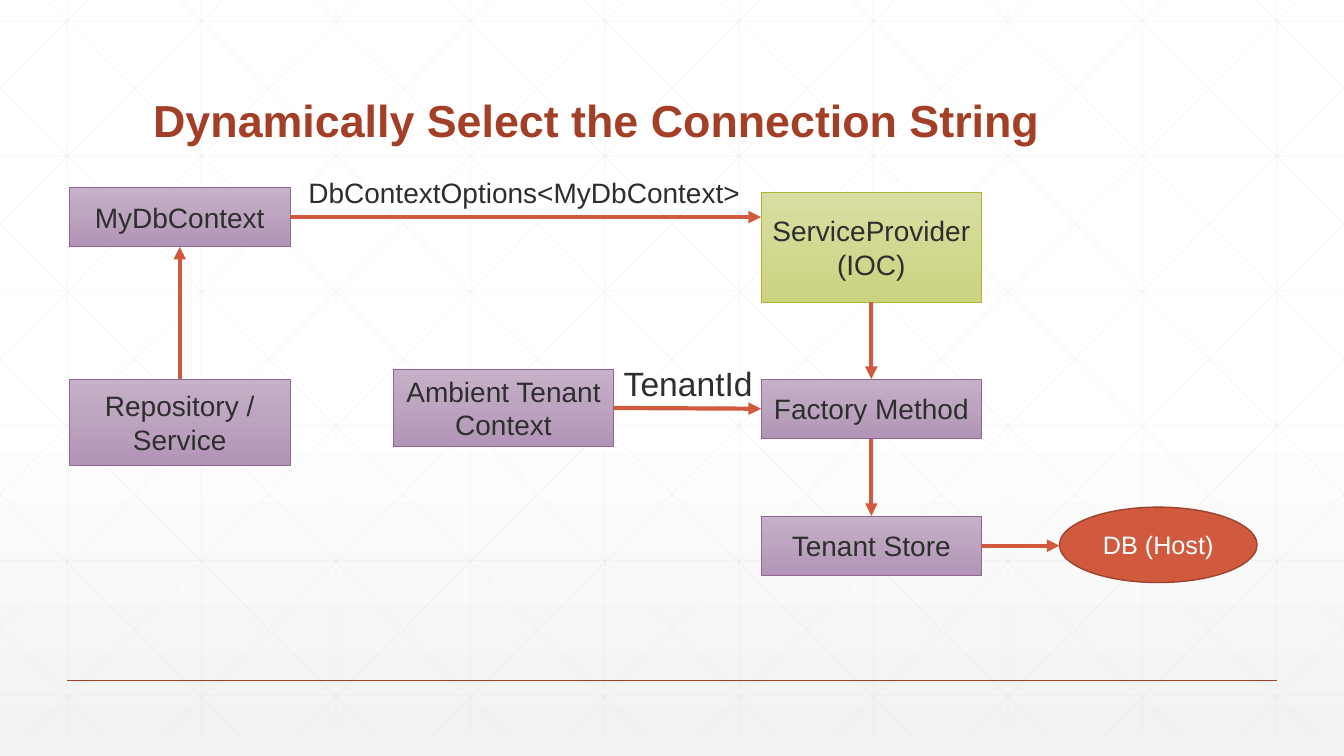
from dataclasses import dataclass
from typing import Optional

from pptx import Presentation
from pptx.dml.color import RGBColor
from pptx.dml.fill import FillFormat
from pptx.enum.shapes import MSO_CONNECTOR, MSO_SHAPE
from pptx.enum.text import MSO_ANCHOR, MSO_AUTO_SIZE, PP_ALIGN
from pptx.oxml.ns import qn
from pptx.shapes.autoshape import Shape
from pptx.shapes.connector import Connector
from pptx.slide import Slide
from pptx.text.text import TextFrame
from pptx.util import Cm, Pt
from lxml import etree

RECT, OVAL = MSO_SHAPE.RECTANGLE, MSO_SHAPE.OVAL
STRAIGHT = MSO_CONNECTOR.STRAIGHT
MIDDLE, BOTTOM_ANCHOR = MSO_ANCHOR.MIDDLE, MSO_ANCHOR.BOTTOM
FIT_SHAPE = MSO_AUTO_SIZE.SHAPE_TO_FIT_TEXT
LEFT_ALIGN, CENTER = PP_ALIGN.LEFT, PP_ALIGN.CENTER
TOP, LEFT, BOTTOM, RIGHT = range(4)

FONT = "Arial"
DARK, WHITE = "2D2E2D", "FFFFFF"
RUST, ORANGE, GRID = "A43F27", "D15A3E", "D9D9D9"

# Slide and background grid, in centimetres
WIDTH, HEIGHT = 33.87, 19.05
PITCH = WIDTH / 10
GRID_TOP, GRID_BOTTOM = -0.53, 18.52
DIAGONAL_RUN = 18.94


@dataclass
class Style:
    fill: tuple[str, ...]  # one colour, or top and bottom of a gradient
    line: str
    line_pt: float
    text: str
    size: int


@dataclass
class Box:
    name: str
    text: str
    x: float
    y: float
    w: float
    h: float
    style: Style
    kind: int = RECT


@dataclass
class Arrow:
    start: str
    start_side: int
    end: Optional[str] = None
    end_side: int = LEFT
    end_at: tuple[float, float] = (0, 0)  # used when no box side is joined


@dataclass
class Label:
    text: str
    x: float
    y: float
    w: float
    h: float
    size: int


PURPLE = Style(("C5B1C8", "B395B7"), "926397", 0.5, DARK, 20)
GREEN = Style(("D8DEA1", "CBD381"), "AEB733", 0.5, DARK, 20)
DATABASE = Style((ORANGE,), "9B432E", 1, WHITE, 18)

BOX_W, BOX_H = 5.56, 1.5
COL_1, COL_2, COL_3 = 1.75, 9.91, 19.18

BOXES = [
    Box("context", "MyDbContext", COL_1, 4.72, BOX_W, BOX_H, PURPLE),
    Box("provider", "ServiceProvider\v(IOC)", COL_3, 4.85, BOX_W, 2.77, GREEN),
    Box("factory", "Factory Method", COL_3, 9.55, BOX_W, BOX_H, PURPLE),
    Box("store", "Tenant Store", COL_3, 13, BOX_W, BOX_H, PURPLE),
    Box("db", "DB (Host)", 26.7, 12.78, 4.98, 1.9, DATABASE, OVAL),
    Box("repository", "Repository / Service", COL_1, 9.55, BOX_W, 2.18, PURPLE),
    Box("ambient", "Ambient Tenant Context", COL_2, 9.3, BOX_W, 1.96, PURPLE),
]
ARROWS = [
    Arrow("context", RIGHT, end_at=(COL_3, 5.47)),
    Arrow("provider", BOTTOM, "factory", TOP),
    Arrow("factory", BOTTOM, "store", TOP),
    Arrow("store", RIGHT, end_at=(26.7, 13.75)),
    Arrow("repository", TOP, "context", BOTTOM),
    Arrow("ambient", RIGHT, "factory", LEFT),
]
LABELS = [
    Label("DbContextOptions<MyDbContext>", 7.52, 4.29, 11.48, 1.12, 20),
    Label("TenantId", 15.47, 9.02, 3.78, 1.27, 24),
]


def rgb(value: str) -> RGBColor:
    return RGBColor.from_string(value)


def set_gradient(fill: FillFormat, top: str, bottom: str, start: float = 0) -> None:
    fill.gradient()
    fill.gradient_angle = 270
    for stop, color, position in zip(fill.gradient_stops, (top, bottom), (start, 1)):
        stop.color.rgb = rgb(color)
        stop.position = position


def write(tf: TextFrame, text: str, size: int, color: str,
          align: int = LEFT_ALIGN, bold: bool = False) -> None:
    p = tf.paragraphs[0]
    p.text = text
    p.alignment = align
    p.font.name, p.font.size, p.font.bold = FONT, Pt(size), bold
    p.font.color.rgb = rgb(color)


def add_line(s: Slide, x1: float, y1: float, x2: float, y2: float,
             color: str, width: float) -> Connector:
    line = s.shapes.add_connector(STRAIGHT, Cm(x1), Cm(y1), Cm(x2), Cm(y2))
    line.line.color.rgb = rgb(color)
    line.line.width = Pt(width)
    etree.SubElement(line.element.spPr, qn("a:effectLst"))
    return line


def add_grid_line(s: Slide, x1: float, y1: float, x2: float, y2: float) -> None:
    line = add_line(s, x1, y1, x2, y2, GRID, 0.5)
    color = line.element.spPr.find(".//" + qn("a:srgbClr"))
    etree.SubElement(color, qn("a:alpha"), val="25000")


def add_grid(s: Slide) -> None:
    for i in range(10):
        x = PITCH * (i + 0.5)
        add_grid_line(s, x, GRID_TOP, x, GRID_BOTTOM)
    for i in range(6):
        y = 0.53 + 3.4 * i
        add_grid_line(s, 0, y, WIDTH, y)
    # Diagonals are clipped at the slide sides, then mirrored
    slope = (GRID_BOTTOM - GRID_TOP) / DIAGONAL_RUN
    for i in range(-5, 10):
        start = 0.64 + PITCH * i
        x1, x2 = max(start, 0), min(start + DIAGONAL_RUN, WIDTH)
        y1, y2 = (GRID_TOP + (x - start) * slope for x in (x1, x2))
        add_grid_line(s, x1, y1, x2, y2)
        add_grid_line(s, WIDTH - x1, y1, WIDTH - x2, y2)


def add_box(s: Slide, box: Box) -> Shape:
    sp = s.shapes.add_shape(box.kind, Cm(box.x), Cm(box.y), Cm(box.w), Cm(box.h))
    style = box.style
    sp.shadow.inherit = False
    if len(style.fill) == 2:
        set_gradient(sp.fill, *style.fill)
    else:
        sp.fill.solid()
        sp.fill.fore_color.rgb = rgb(style.fill[0])
    sp.line.color.rgb = rgb(style.line)
    sp.line.width = Pt(style.line_pt)
    tf = sp.text_frame
    tf.word_wrap = True
    tf.vertical_anchor = MIDDLE
    write(tf, box.text, style.size, style.text, CENTER)
    return sp


def add_arrow(s: Slide, arrow: Arrow, shapes: dict[str, Shape]) -> None:
    line = add_line(s, 0, 0, *arrow.end_at, ORANGE, 3)
    line.begin_connect(shapes[arrow.start], arrow.start_side)
    if arrow.end:
        line.end_connect(shapes[arrow.end], arrow.end_side)
    etree.SubElement(line.element.spPr.find(qn("a:ln")), qn("a:tailEnd"), type="triangle")


def add_label(s: Slide, label: Label) -> None:
    tf = s.shapes.add_textbox(Cm(label.x), Cm(label.y), Cm(label.w), Cm(label.h)).text_frame
    tf.word_wrap = False
    tf.auto_size = FIT_SHAPE
    write(tf, label.text, label.size, DARK)


def main() -> None:
    prs = Presentation()
    prs.slide_width, prs.slide_height = Cm(WIDTH), Cm(HEIGHT)
    s = prs.slides.add_slide(prs.slide_layouts[6])

    # Background and footer rule
    set_gradient(s.background.fill, WHITE, "F2F2F2", 0.53)
    add_grid(s)
    add_line(s, PITCH / 2, 17.15, WIDTH - PITCH / 2, 17.15, RUST, 1)

    # Title
    tf = s.shapes.add_textbox(Cm(3.61), Cm(1.4), Cm(26.67), Cm(2.44)).text_frame
    tf.word_wrap = True
    tf.vertical_anchor = BOTTOM_ANCHOR
    write(tf, "Dynamically Select the Connection String", 32, RUST, bold=True)
    tf.paragraphs[0].line_spacing = 0.9

    # Diagram
    shapes = {box.name: add_box(s, box) for box in BOXES}
    for arrow in ARROWS:
        add_arrow(s, arrow, shapes)
    for label in LABELS:
        add_label(s, label)

    prs.save("out.pptx")


if __name__ == "__main__":
    main()
